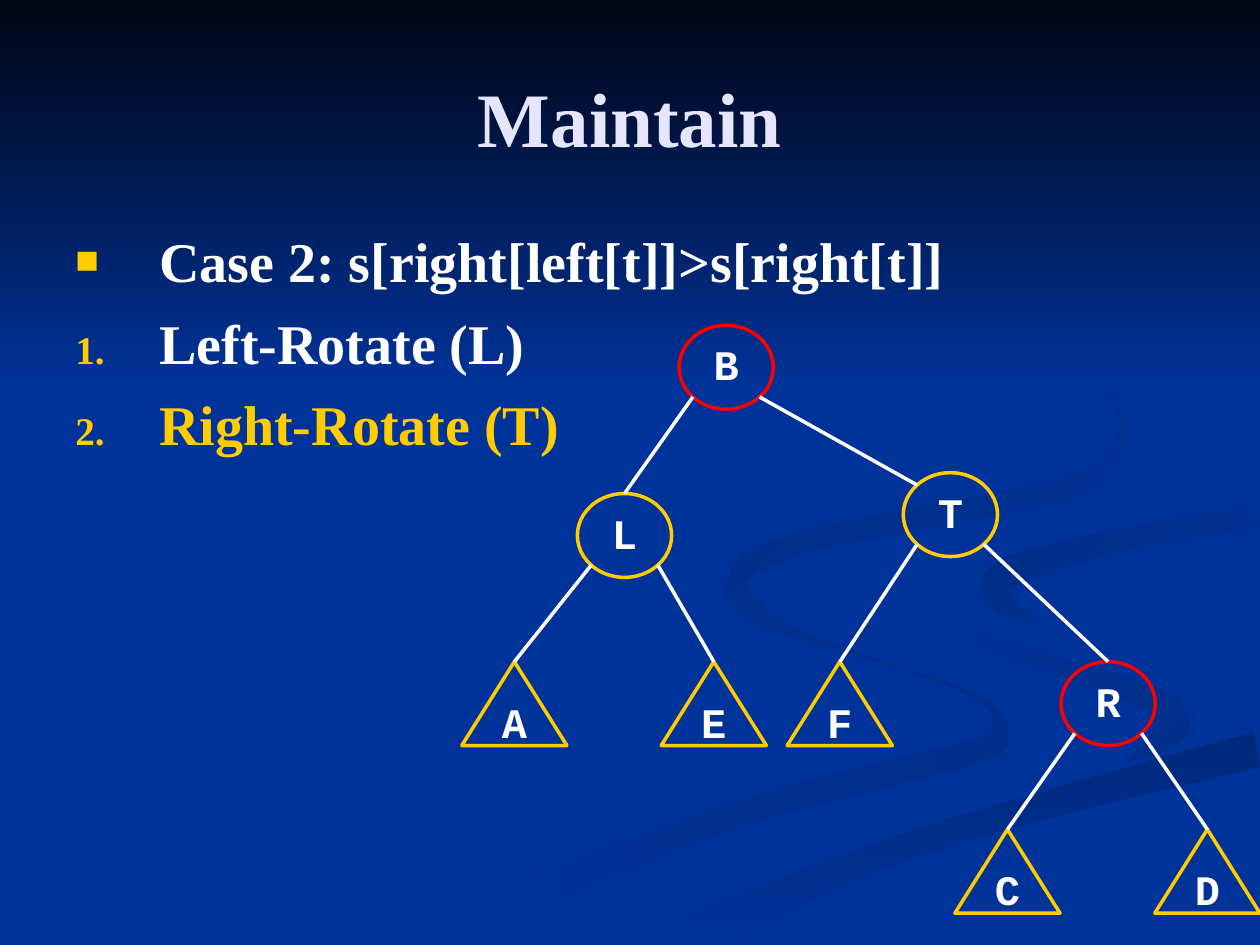
from math import hypot, sqrt

from lxml.etree import SubElement
from pptx import Presentation
from pptx.dml.color import RGBColor
from pptx.enum.shapes import MSO_CONNECTOR, MSO_SHAPE
from pptx.enum.text import MSO_ANCHOR, PP_ALIGN
from pptx.oxml.ns import qn
from pptx.util import Cm, Pt

COLORS = {
    "blue": "003399", "night": "000514", "lavender": "E5E5FF", "white": "FFFFFF",
    "gold": "FFCC00", "red": "FF0000", "shade": "002E8A", "deep": "00297C",
    "dusk": "002C85", "ink": "002B81",
}
PAGE_WIDTH, PAGE_HEIGHT = 25.4, 19.05
FADE_HEIGHT = 7.82
NODE_HEIGHT, OVAL_WIDTH, LEAF_WIDTH = 1.69, 1.9, 2.12
LEAF_ROW, LAST_ROW = 13.34, 16.72

CHILDREN = {"B": "LT", "L": "AE", "T": "FR", "R": "CD"}
RED_NODES = "BR"
PLACES = {
    "B": (14.64, 6.56), "L": (12.59, 9.95), "T": (19.16, 9.53), "R": (22.34, LEAF_ROW),
    "A": (10.37, LEAF_ROW), "E": (14.39, LEAF_ROW), "F": (16.93, LEAF_ROW),
    "C": (20.31, LAST_ROW), "D": (24.34, LAST_ROW),
}
BULLET = ("a:buChar", {"char": "■"})
NUMBER = ("a:buAutoNum", {"type": "arabicPeriod"})
STEPS = [
    ("Case 2: s[right[left[t]]>s[right[t]]", "white", BULLET),
    ("Left-Rotate (L)", "white", NUMBER),
    ("Right-Rotate (T)", "gold", NUMBER),
]


def blend(before, start, end, after, t):
    """Return the Catmull-Rom value between start and end at t."""
    return (2 * start + (end - before) * t
            + (2 * before - 5 * start + 4 * end - after) * t ** 2
            + (3 * start - before - 3 * end + after) * t ** 3) / 2


def smooth(spine, steps=6):
    """Return a smooth run of (x, y, thickness) through the spine."""
    padded = [spine[0], *spine, spine[-1]]
    curve = [
        tuple(blend(*values, step / steps) for values in zip(*padded[i:i + 4]))
        for i in range(len(spine) - 1) for step in range(steps)]
    return [*curve, spine[-1]]


def ribbon(spine):
    """Return the outline of a band that follows the spine, kept on the page."""
    curve = smooth(spine)
    left, right = [], []
    for i, (x, y, thickness) in enumerate(curve):
        back, ahead = curve[max(i - 1, 0)], curve[min(i + 1, len(curve) - 1)]
        dx, dy = ahead[0] - back[0], ahead[1] - back[1]
        reach = thickness / 2 / hypot(dx, dy)
        for edge, side in ((left, 1), (right, -1)):
            edge.append((min(x - side * dy * reach, PAGE_WIDTH),
                         min(y + side * dx * reach, PAGE_HEIGHT)))
    return left + right[::-1]


class TreeSlide:
    """Hold the deck style and draw each kind of element on one slide."""

    serif, mono = "Times New Roman", "Courier New"
    stroke = Pt(2)

    def __init__(self, slide):
        self.slide = slide
        slide.background.fill.solid()
        slide.background.fill.fore_color.rgb = self.color("blue")

    def color(self, name):
        return RGBColor.from_string(COLORS[name])

    def format(self, paragraph, size, color, font):
        for run in paragraph.runs:
            run.font.size, run.font.name, run.font.bold = Pt(size), font, True
            run.font.color.rgb = self.color(color)

    def shade(self, scenery, first, last, clockwise):
        scenery.shadow.inherit = False
        scenery.line.fill.background()
        scenery.fill.gradient()
        scenery.fill.gradient_angle = 360 - clockwise
        for stop, name in zip(scenery.fill.gradient_stops, (first, last)):
            stop.color.rgb = self.color(name)

    def fade(self):
        fade = self.slide.shapes.add_shape(
            MSO_SHAPE.RECTANGLE, 0, 0, Cm(PAGE_WIDTH), Cm(FADE_HEIGHT))
        self.shade(fade, "night", "blue", 90)

    def swirl(self, first, last, clockwise, spine):
        outline = [(round(x * 100), round(y * 100)) for x, y in ribbon(spine)]
        builder = self.slide.shapes.build_freeform(*outline[0], scale=Cm(0.01))
        builder.add_line_segments(outline[1:], close=True)
        self.shade(builder.convert_to_shape(), first, last, clockwise)

    def text_frame(self, top, height):
        box = self.slide.shapes.add_textbox(Cm(1.27), Cm(top), Cm(22.86), Cm(height))
        box.text_frame.word_wrap = True
        return box.text_frame

    def title(self, words):
        frame = self.text_frame(0.76, 3.18)
        frame.vertical_anchor = MSO_ANCHOR.MIDDLE
        frame.text = words
        frame.paragraphs[0].alignment = PP_ALIGN.CENTER
        self.format(frame.paragraphs[0], 44, "lavender", self.serif)

    def steps(self, steps):
        frame = self.text_frame(4.45, 12.57)
        frame.text = "\n".join(words for words, *_ in steps)
        for paragraph, (_, color, marker) in zip(frame.paragraphs, steps):
            paragraph.space_before = Pt(8)
            self.format(paragraph, 32, color, self.serif)
            self.mark(paragraph, *marker)

    def mark(self, paragraph, tag, options):
        props = paragraph._p.get_or_add_pPr()
        props.set("marL", str(Cm(1.69)))
        props.set("indent", str(-Cm(1.69)))
        tint = SubElement(props, qn("a:buClr"))
        SubElement(tint, qn("a:srgbClr"), val=COLORS["gold"])
        SubElement(props, qn("a:buSzPct"), val="70000")
        SubElement(props, qn("a:buFont"), typeface=self.serif)
        SubElement(props, qn(tag), **options)

    def node(self, key):
        center, top = PLACES[key]
        kind, width = ((MSO_SHAPE.OVAL, OVAL_WIDTH) if key in CHILDREN
                       else (MSO_SHAPE.ISOSCELES_TRIANGLE, LEAF_WIDTH))
        node = self.slide.shapes.add_shape(
            kind, Cm(center - width / 2), Cm(top), Cm(width), Cm(NODE_HEIGHT))
        node.shadow.inherit = False
        node.fill.background()
        node.line.color.rgb = self.color("red" if key in RED_NODES else "gold")
        node.line.width = self.stroke
        frame = node.text_frame
        frame.word_wrap = False
        frame.vertical_anchor = MSO_ANCHOR.MIDDLE
        frame.text = key
        label = frame.paragraphs[0]
        label.alignment = PP_ALIGN.CENTER
        label.line_spacing, label.space_before = 0.9, Pt(6)
        self.format(label, 24, "white", self.mono)

    def rim(self, key, across, down):
        center, top = PLACES[key]
        return (center + across * OVAL_WIDTH / sqrt(8),
                top + NODE_HEIGHT / 2 + down * NODE_HEIGHT / sqrt(8))

    def edge(self, parent, side, child):
        start = self.rim(parent, side, 1)
        end = self.rim(child, -1, -1) if child == "T" else PLACES[child]
        edge = self.slide.shapes.add_connector(
            MSO_CONNECTOR.STRAIGHT, *(Cm(length) for length in (*start, *end)))
        edge.line.color.rgb = self.color("white")
        edge.line.width = self.stroke
        SubElement(edge._element.spPr, qn("a:effectLst"))


def main():
    deck = Presentation()
    deck.slide_width, deck.slide_height = Cm(PAGE_WIDTH), Cm(PAGE_HEIGHT)
    page = TreeSlide(deck.slides.add_slide(deck.slide_layouts[6]))

    page.swirl("shade", "blue", 180, [
        (14.58, 11.73, 0.08), (15.1, 12.4, 0.25), (17.3, 13.2, 0.06), (19.6, 14, 0.1),
        (20.15, 14.7, 0.36), (19.5, 15.2, 0.5), (14.6, 16.5, 0.5), (8.4, 19, 0.7)])
    page.swirl("shade", "blue", 225, [
        (18.4, 11.8, 0.03), (19.05, 12.65, 0.25), (22.45, 13.77, 0.4),
        (23.45, 14.27, 0.6), (23.6, 14.75, 0.6), (22.75, 15.35, 0.05)])
    page.swirl("deep", "blue", 90, [
        (25.35, 15.11, 0.72), (21, 16.25, 0.54), (17.7, 17.27, 0.54), (13.6, 19, 0.8)])
    page.swirl("blue", "dusk", 225, [
        (25.35, 10.44, 0.45), (22.78, 10.84, 0.43), (20.3, 11.55, 0.6),
        (20.2, 12.1, 0.42), (20.95, 12.57, 0.05)])
    page.swirl("blue", "ink", 225, [
        (19.36, 5.92, 0.02), (21.5, 7.06, 0.06), (22.6, 8.4, 0.12), (22.35, 9.3, 0.32),
        (21.15, 9.93, 0.45), (16.25, 10.92, 0.43), (14.87, 11.73, 0.43),
        (15.75, 12.65, 0.05)])
    page.fade()

    page.title("Maintain")
    page.steps(STEPS)
    for key in PLACES:
        page.node(key)
    for parent, pair in CHILDREN.items():
        for side, child in zip((-1, 1), pair):
            page.edge(parent, side, child)
    deck.save("out.pptx")


if __name__ == "__main__":
    main()
